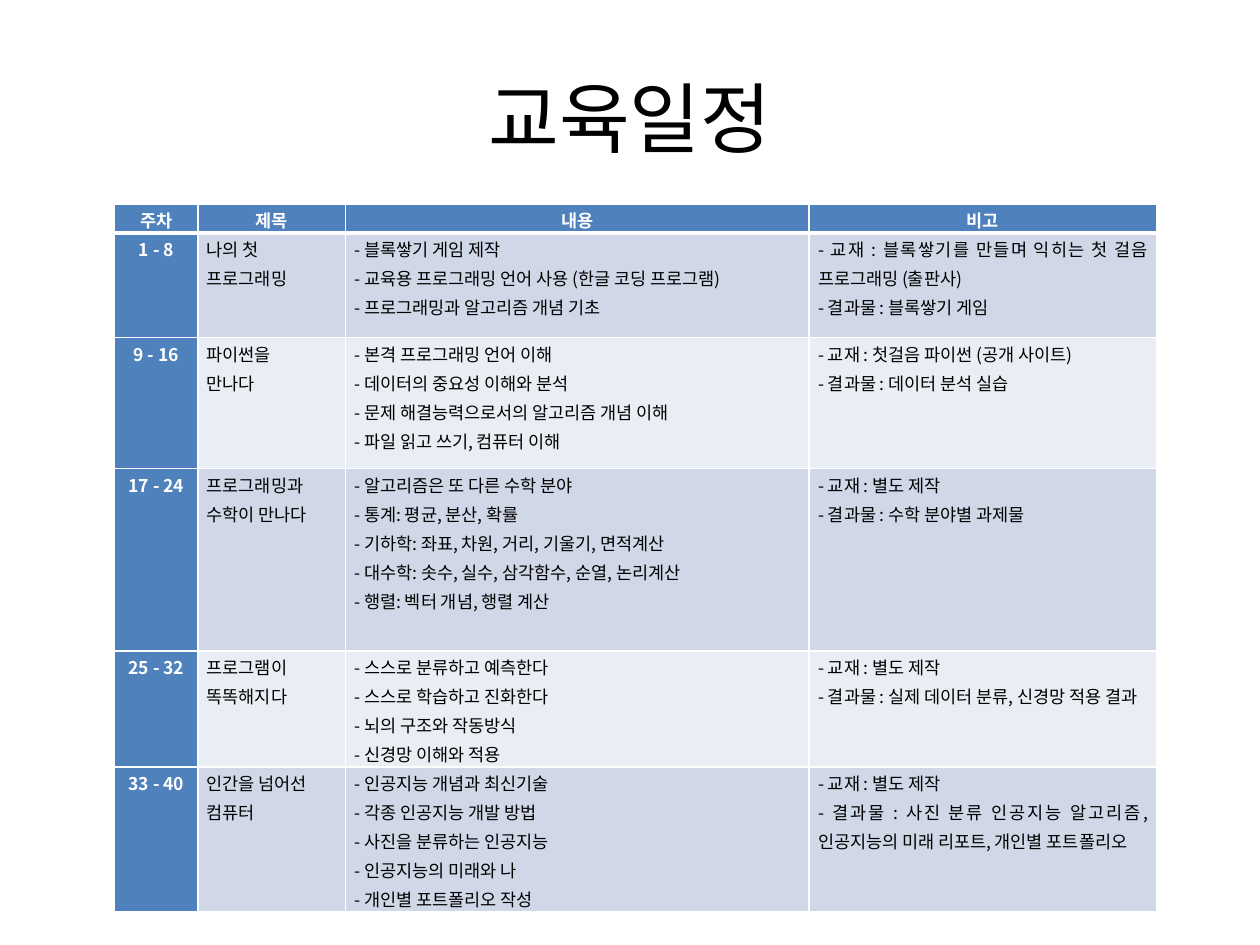
import pptx
import pptx.dml.color
import pptx.enum.text
import pptx.oxml.ns
import pptx.util
import lxml.etree

Cm = pptx.util.Cm
Pt = pptx.util.Pt
ALIGN = pptx.enum.text.PP_ALIGN

FONT = "Noto Sans CJK KR"
BLUE, WHITE, BLACK = "4F81BD", "FFFFFF", "000000"
BANDS = ["D0D8E8", "E9EDF4"]

HEADINGS = ["주차", "제목", "내용", "비고"]
COURSES = [
    ("1 - 8", ["나의 첫", "프로그래밍"],
     ["블록쌓기 게임 제작", "교육용 프로그래밍 언어 사용 (한글 코딩 프로그램)",
      "프로그래밍과 알고리즘 개념 기초"],
     "블록쌓기를 만들며 익히는 첫 걸음 프로그래밍 (출판사)", "블록쌓기 게임"),
    ("9 - 16", ["파이썬을", "만나다"],
     ["본격 프로그래밍 언어 이해", "데이터의 중요성 이해와 분석",
      "문제 해결능력으로서의 알고리즘 개념 이해", "파일 읽고 쓰기, 컴퓨터 이해"],
     "첫걸음 파이썬 (공개 사이트)", "데이터 분석 실습"),
    ("17 - 24", ["프로그래밍과", "수학이 만나다"],
     ["알고리즘은 또 다른 수학 분야", "통계: 평균, 분산, 확률",
      "기하학: 좌표, 차원, 거리, 기울기, 면적계산",
      "대수학: 솟수, 실수, 삼각함수, 순열, 논리계산", "행렬: 벡터 개념, 행렬 계산"],
     "별도 제작", "수학 분야별 과제물"),
    ("25 - 32", ["프로그램이", "똑똑해지다"],
     ["스스로 분류하고 예측한다", "스스로 학습하고 진화한다",
      "뇌의 구조와 작동방식", "신경망 이해와 적용"],
     "별도 제작", "실제 데이터 분류, 신경망 적용 결과"),
    ("33 - 40", ["인간을 넘어선", "컴퓨터"],
     ["인공지능 개념과 최신기술", "각종 인공지능 개발 방법", "사진을 분류하는 인공지능",
      "인공지능의 미래와 나", "개인별 포트폴리오 작성"],
     "별도 제작",
     "사진 분류 인공지능 알고리즘, 인공지능의 미래 리포트, 개인별 포트폴리오"),
]
COLUMN_WIDTHS = [1.68, 2.97, 9.35, 7.01]
ROW_HEIGHTS = [0.53, 2.11, 2.64, 3.68, 2.11, 2.64]


def colour(value):
    return pptx.dml.color.RGBColor.from_string(value)


def add_run(paragraph, words, size, shade, bold=False):
    run = paragraph.add_run()
    run.text = words
    run.font.size = Pt(size)
    run.font.bold = bold
    run.font.color.rgb = colour(shade)
    run.font.name = FONT
    east_asian = lxml.etree.SubElement(
        run._r.get_or_add_rPr(), pptx.oxml.ns.qn("a:ea"))
    east_asian.set("typeface", FONT)


def set_borders(cell, top, bottom):
    properties = cell._tc.get_or_add_tcPr()
    sides = [("a:lnL", 1), ("a:lnR", 1), ("a:lnT", top), ("a:lnB", bottom)]
    for position, (side, width) in enumerate(sides):
        line = properties.makeelement(pptx.oxml.ns.qn(side), {"w": str(Pt(width))})
        fill = lxml.etree.SubElement(line, pptx.oxml.ns.qn("a:solidFill"))
        lxml.etree.SubElement(fill, pptx.oxml.ns.qn("a:srgbClr")).set("val", WHITE)
        properties.insert(position, line)


def fill_cell(cell, lines, background, label, hanging):
    cell.fill.solid()
    cell.fill.fore_color.rgb = colour(background)
    cell.margin_left = cell.margin_right = Cm(0.18)
    cell.margin_top = cell.margin_bottom = 0
    for index, words in enumerate(lines):
        frame = cell.text_frame
        paragraph = frame.add_paragraph() if index else frame.paragraphs[0]
        paragraph.alignment = ALIGN.CENTER if label else ALIGN.JUSTIFY
        paragraph.line_spacing = 1.15
        if hanging:
            indents = paragraph._p.get_or_add_pPr()
            indents.set("marL", str(Cm(0.36)))
            indents.set("indent", str(Cm(-0.36)))
        add_run(paragraph, words, 10, WHITE if label else BLACK, label)


def schedule_rows():
    yield [[heading] for heading in HEADINGS]
    for weeks, subject, topics, textbook, outcome in COURSES:
        yield [[weeks], subject, [f"- {topic}" for topic in topics],
               [f"- 교재 : {textbook}", f"- 결과물 : {outcome}"]]


def main():
    deck = pptx.Presentation()
    deck.slide_width, deck.slide_height = Cm(25.4), Cm(19.05)
    slide = deck.slides.add_slide(deck.slide_layouts[5])

    title = slide.shapes.title
    title.left, title.top = Cm(1.27), Cm(0.76)
    title.width, title.height = Cm(22.86), Cm(3.18)
    title.text_frame.vertical_anchor = pptx.enum.text.MSO_ANCHOR.MIDDLE
    heading = title.text_frame.paragraphs[0]
    heading.alignment = ALIGN.CENTER
    add_run(heading, "교육일정", 44, BLACK)

    schedule = slide.shapes.add_table(
        len(ROW_HEIGHTS), len(COLUMN_WIDTHS), Cm(2.31), Cm(4.11),
        Cm(sum(COLUMN_WIDTHS)), Cm(sum(ROW_HEIGHTS))).table
    for column, width in zip(schedule.columns, COLUMN_WIDTHS):
        column.width = Cm(width)
    for row, height in zip(schedule.rows, ROW_HEIGHTS):
        row.height = Cm(height)

    for r, row in enumerate(schedule_rows()):
        for c, lines in enumerate(row):
            label = r == 0 or c == 0
            background = BLUE if label else BANDS[(r - 1) % 2]
            cell = schedule.cell(r, c)
            fill_cell(cell, lines, background, label, c == 2 and not label)
            set_borders(cell, 3 if r == 1 else 1, 3 if r == 0 else 1)

    deck.save("out.pptx")


if __name__ == "__main__":
    main()
